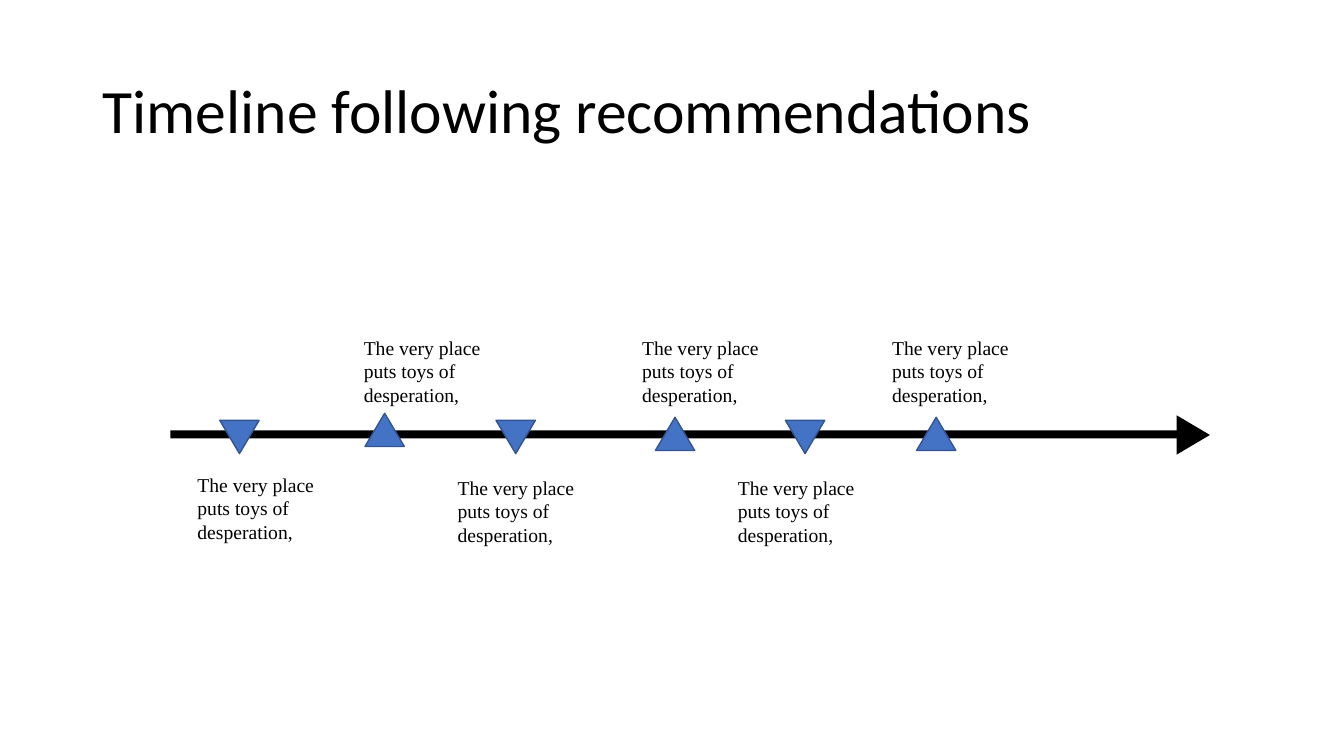
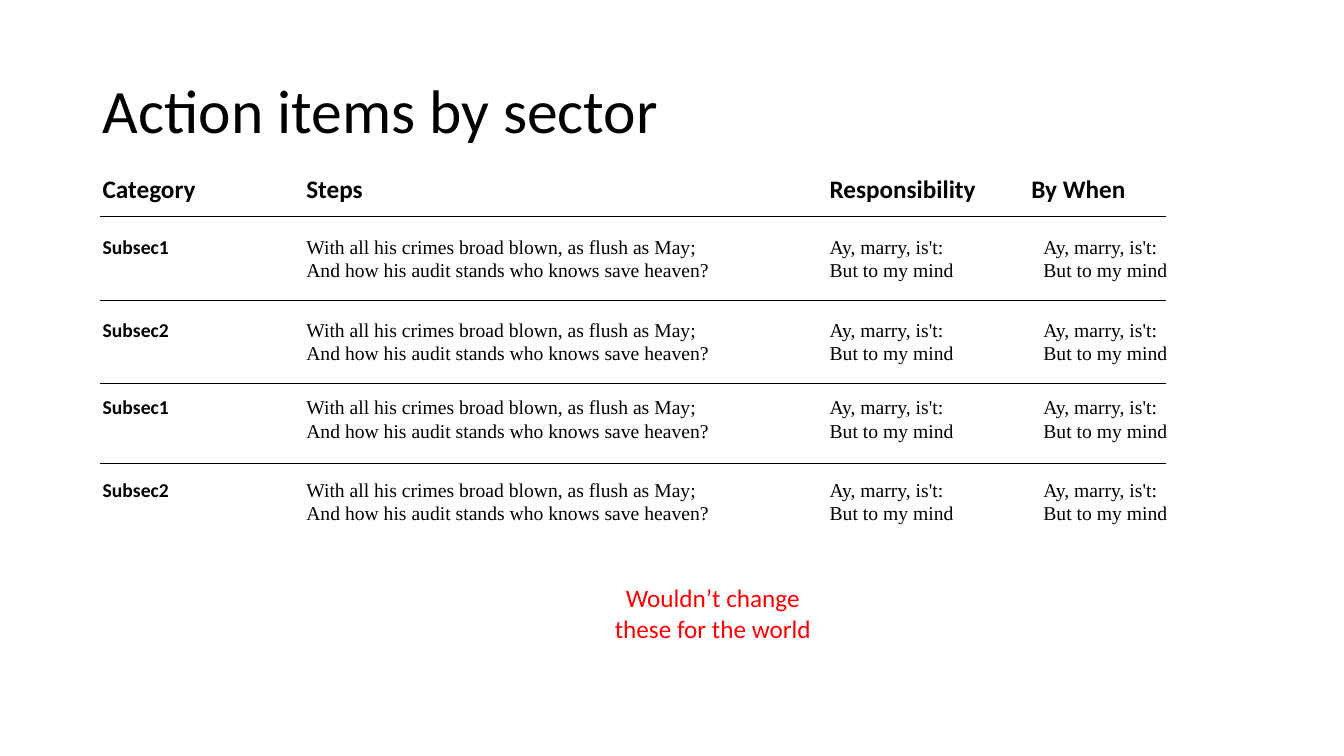
"""Build a timeline slide and an action item slide."""
from dataclasses import dataclass

from lxml import etree
from pptx import Presentation
from pptx.dml.color import RGBColor
from pptx.enum.shapes import MSO_CONNECTOR, MSO_SHAPE
from pptx.enum.text import MSO_ANCHOR, MSO_AUTO_SIZE, PP_ALIGN
from pptx.oxml.ns import qn
from pptx.shapes.autoshape import Shape
from pptx.slide import Slide
from pptx.util import Inches, Pt

RECTANGLE = MSO_SHAPE.RECTANGLE
TRIANGLE = MSO_SHAPE.ISOSCELES_TRIANGLE
STRAIGHT = MSO_CONNECTOR.STRAIGHT
MIDDLE = MSO_ANCHOR.MIDDLE
CENTER = PP_ALIGN.CENTER
GROW = MSO_AUTO_SIZE.SHAPE_TO_FIT_TEXT

COLORS = {"ink": "000000", "marker": "4472C4", "outline": "325491", "note": "FF0000"}
SANS = "Calibri"
SERIF = "Times New Roman"
MARKER_SIZE = (0.39, 0.33)

MILESTONE_TEXT = "The very place puts toys of desperation,"
STEPS_TEXT = (
    "With all his crimes broad blown, as flush as May;\n"
    "And how his audit stands who knows save heaven?"
)
REPLY_TEXT = "Ay, marry, is't:\nBut to my mind"


@dataclass(frozen=True)
class TextStyle:
    """Font settings for a whole box."""

    size: float
    font: str = SANS
    bold: bool = False
    color: str = "ink"


@dataclass(frozen=True)
class Milestone:
    """Marker and label positions of one timeline event."""

    marker_left: float
    marker_top: float
    label_left: float
    label_top: float
    rotation: float


@dataclass(frozen=True)
class Column:
    """Heading and body placement of one action item column."""

    heading: str
    heading_left: float
    heading_width: float
    body_left: float
    body_width: float


@dataclass(frozen=True)
class ActionRow:
    """One action item with the rule above it."""

    category: str
    rule_top: float
    text_top: float


TITLE = TextStyle(44)
HEADING = TextStyle(18, bold=True)
CATEGORY = TextStyle(14, bold=True)
BODY = TextStyle(14, SERIF)
NOTE = TextStyle(18, color="note")

MILESTONES = [
    Milestone(2.18, 4.17, 1.86, 4.64, 180),
    Milestone(3.62, 4.1, 3.51, 3.28, 0),
    Milestone(4.92, 4.17, 4.44, 4.67, 180),
    Milestone(6.5, 4.14, 6.27, 3.28, 0),
    Milestone(7.79, 4.17, 7.22, 4.67, 180),
    Milestone(9.09, 4.14, 8.75, 3.28, 0),
]
COLUMNS = [
    Column("Category", 0.92, 1.33, 0.92, 1.11),
    Column("Steps", 2.94, 1.33, 2.94, 5.03),
    Column("Responsibility", 8.13, 1.69, 8.13, 2.12),
    Column("By When", 10.13, 1.69, 10.25, 2.12),
]
ACTION_ROWS = [
    ActionRow("Subsec1", 2.15, 2.28),
    ActionRow("Subsec2", 2.98, 3.1),
    ActionRow("Subsec1", 3.8, 3.87),
    ActionRow("Subsec2", 4.6, 4.69),
]


def rgb(name: str) -> RGBColor:
    """Return a named colour."""
    return RGBColor.from_string(COLORS[name])


def add_text(slide: Slide, text: str, left: float, top: float, width: float,
             height: float, style: TextStyle, grow: bool = True) -> Shape:
    """Add a wrapped text box holding one paragraph."""
    box = slide.shapes.add_textbox(
        Inches(left), Inches(top), Inches(width), Inches(height))
    frame = box.text_frame
    frame.word_wrap = True
    if grow:
        frame.auto_size = GROW
    else:
        frame.vertical_anchor = MIDDLE
    para = frame.paragraphs[0]
    para.text = text
    para.font.size = Pt(style.size)
    para.font.name = style.font
    para.font.bold = style.bold
    para.font.color.rgb = rgb(style.color)
    return box


def add_title(slide: Slide, text: str) -> None:
    """Add the shared slide title."""
    box = add_text(slide, text, 0.92, 0.4, 11.5, 1.45, TITLE, grow=False)
    box.text_frame.paragraphs[0].line_spacing = 0.9


def add_solid(slide: Slide, kind: MSO_SHAPE, left: float, top: float, width: float,
              height: float, fill: str, outline: str | None = None,
              rotation: float = 0) -> None:
    """Add a filled shape with an optional outline."""
    shape = slide.shapes.add_shape(
        kind, Inches(left), Inches(top), Inches(width), Inches(height))
    shape.shadow.inherit = False
    shape.rotation = rotation
    shape.fill.solid()
    shape.fill.fore_color.rgb = rgb(fill)
    if outline:
        shape.line.color.rgb = rgb(outline)
        shape.line.width = Pt(1)
    else:
        shape.line.fill.background()


def add_rule(slide: Slide, top: float) -> None:
    """Add a thin rule across the action items."""
    rule = slide.shapes.add_connector(
        STRAIGHT, Inches(0.99), Inches(top), Inches(11.56), Inches(top))
    rule.line.color.rgb = rgb("ink")
    rule.line.width = Pt(0.5)
    etree.SubElement(rule._element.spPr, qn("a:effectLst"))


def build_timeline(slide: Slide) -> None:
    """Draw the arrow with its milestones."""
    add_title(slide, "Timeline following recommendations")
    add_solid(slide, RECTANGLE, 1.69, 4.27, 10.01, 0.08, "ink")
    add_solid(slide, TRIANGLE, 11.64, 4.15, *MARKER_SIZE, "ink", rotation=90)
    for event in MILESTONES:
        add_solid(slide, TRIANGLE, event.marker_left, event.marker_top, *MARKER_SIZE,
                  "marker", "outline", event.rotation)
        add_text(slide, MILESTONE_TEXT, event.label_left, event.label_top,
                 1.53, 0.81, BODY)


def build_actions(slide: Slide) -> None:
    """Draw the action items in ruled rows."""
    add_title(slide, "Action items by sector")
    for column in COLUMNS:
        add_text(slide, column.heading, column.heading_left, 1.67,
                 column.heading_width, 0.4, HEADING)
    for row in ACTION_ROWS:
        add_rule(slide, row.rule_top)
        texts = (row.category, STEPS_TEXT, REPLY_TEXT, REPLY_TEXT)
        for column, text in zip(COLUMNS, texts):
            is_category = column.heading == "Category"
            add_text(slide, text, column.body_left, row.text_top, column.body_width,
                     0.34 if is_category else 0.57, CATEGORY if is_category else BODY)
    note = add_text(slide, "Wouldn’t change these for the world",
                    5.89, 5.95, 2.36, 0.26, NOTE, grow=False)
    note.text_frame.paragraphs[0].alignment = CENTER


def main() -> None:
    """Build and save the deck."""
    deck = Presentation()
    deck.slide_width = Inches(13.33)
    deck.slide_height = Inches(7.5)
    blank = deck.slide_layouts[6]
    for build in (build_timeline, build_actions):
        build(deck.slides.add_slide(blank))
    deck.save("out.pptx")


if __name__ == "__main__":
    main()
